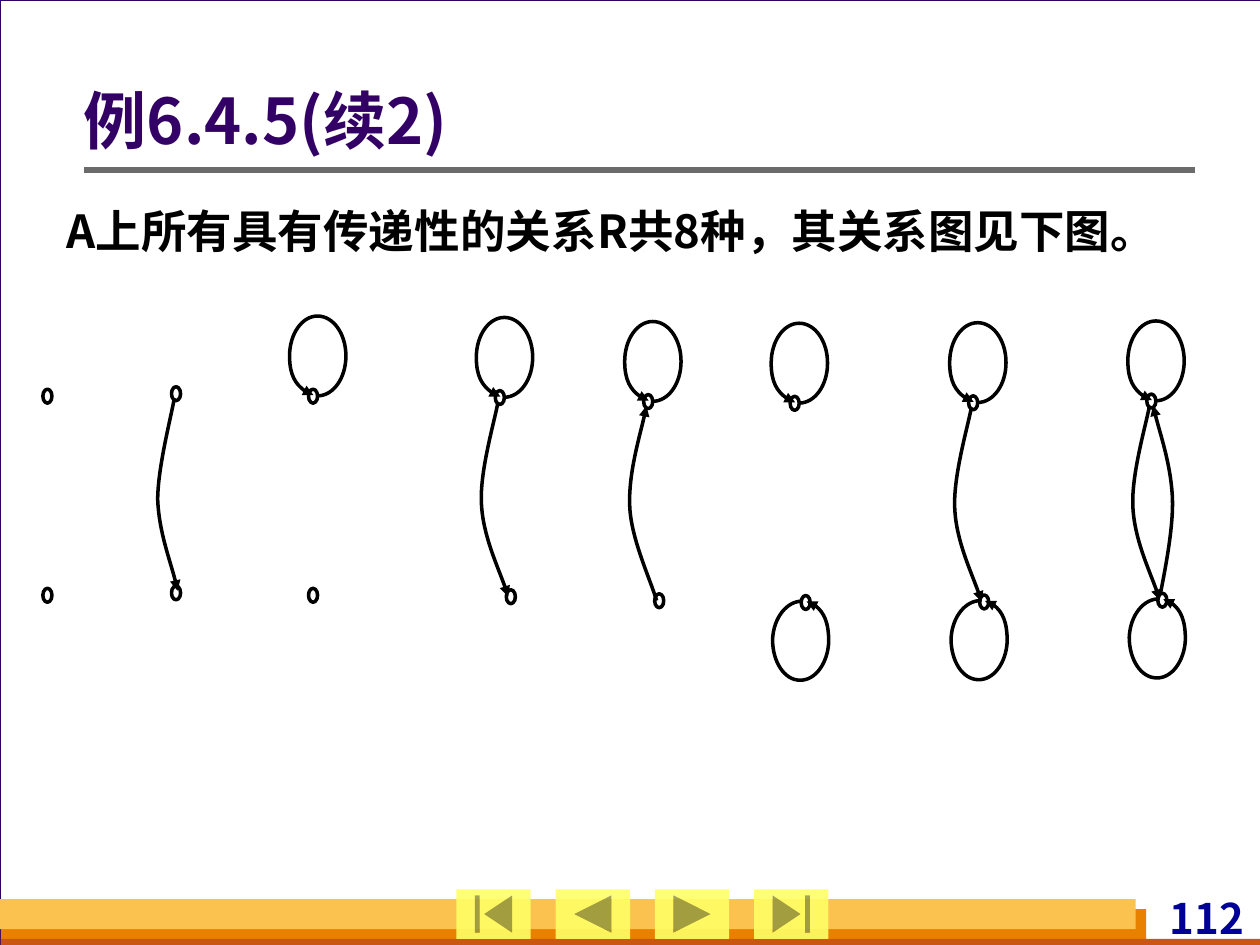
from dataclasses import dataclass

from lxml.etree import SubElement
from pptx import Presentation
from pptx.dml.color import RGBColor
from pptx.enum.shapes import MSO_CONNECTOR, MSO_SHAPE
from pptx.enum.text import MSO_ANCHOR, PP_ALIGN
from pptx.oxml.ns import qn
from pptx.util import Pt

FONT = "Noto Sans CJK SC"
BLACK = RGBColor(0x00, 0x00, 0x00)
WHITE = RGBColor(0xFF, 0xFF, 0xFF)
PURPLE = RGBColor(0x33, 0x00, 0x66)
NAVY = RGBColor(0x00, 0x00, 0x99)
GRAY = RGBColor(0x6B, 0x6B, 0x6B)
BACKDROP = RGBColor(0xD8, 0xDA, 0xDA)
ORANGE = RGBColor(0xE8, 0x80, 0x00)
RUST = RGBColor(0xC9, 0x56, 0x16)
AMBER = RGBColor(0xFC, 0xC2, 0x4F)
YELLOW = RGBColor(0xFF, 0xFF, 0x66)

NODE_W, NODE_H = 5.2, 8
NODE_GAP = 113.8
LEAN = 6.3

Curve = list[tuple[float, float]]

TOP_LOOP: Curve = [
    (5.2, 3.8), (14.2, 3.8), (21.4, -6.3), (21.4, -19),
    (21.4, -31.7), (14.2, -41.8), (5.2, -41.8),
    (-3.6, -41.8), (-10.8, -31.7), (-10.8, -19),
    (-10.8, -7.9), (-5, 1.4), (2.9, 3.4),
]
BOTTOM_LOOP: Curve = [
    (0.9, 3.2), (-8, 3), (-15.8, 12.6), (-16.3, 25.2),
    (-16.3, 37.7), (-9.7, 48.3), (-0.7, 48.4),
    (8.1, 48.6), (15.2, 38.8), (15.8, 26.6),
    (15.8, 15.1), (11.2, 5), (3.2, 3.4),
]
LEANING_ARC: Curve = [
    (1.6, 6.5), (0, 16.1), (-8.8, 45.4), (-7.9, 64),
    (-7.2, 82.5), (4.2, 106.5), (7.4, 117.7),
]
UPRIGHT_ARC: Curve = [
    (1.6, 6.5), (0, 16.4), (-7.9, 46), (-7.9, 64.6),
    (-7.2, 82.8), (1.6, 105.8), (3.4, 116.6),
]
RETURN_ARC: Curve = [
    (7.9, 113.8), (9.6, 104.4), (15.8, 75.6), (14.6, 57.6),
    (13.5, 39.6), (5.9, 17.3), (3.6, 6.5),
]


@dataclass(frozen=True)
class Graph:
    x: float
    y: float
    lean: float = LEAN
    top_loop: bool = True
    bottom_loop: bool = False
    arc: Curve | None = None
    arc_end: str = "tailEnd"
    return_arc: bool = False


GRAPHS = [
    Graph(24.5, 222.4, lean=0, top_loop=False),
    Graph(98, 221, lean=0, top_loop=False, arc=UPRIGHT_ARC),
    Graph(176.3, 222.4, lean=0),
    Graph(283, 223.2, arc=LEANING_ARC),
    Graph(367.8, 225.5, arc=LEANING_ARC, arc_end="headEnd"),
    Graph(451.5, 226.5, bottom_loop=True),
    Graph(553.5, 226.2, bottom_loop=True, arc=LEANING_ARC),
    Graph(655.3, 225.2, bottom_loop=True, arc=LEANING_ARC, return_arc=True),
]

BUTTONS = [
    MSO_SHAPE.ACTION_BUTTON_BEGINNING,
    MSO_SHAPE.ACTION_BUTTON_BACK_OR_PREVIOUS,
    MSO_SHAPE.ACTION_BUTTON_FORWARD_OR_NEXT,
    MSO_SHAPE.ACTION_BUTTON_END,
]


def add_preset(s, kind, x: float, y: float, w: float, h: float,
               fill: RGBColor | None = None, line: RGBColor | None = None,
               weight: float = 2):
    sp = s.shapes.add_shape(kind, Pt(x), Pt(y), Pt(w), Pt(h))
    sp.shadow.inherit = False
    if fill is None:
        sp.fill.background()
    else:
        sp.fill.solid()
        sp.fill.fore_color.rgb = fill
    if line is None:
        sp.line.fill.background()
    else:
        sp.line.color.rgb = line
        sp.line.width = Pt(weight)
    return sp


def add_text(s, text: str, x: float, y: float, w: float, h: float, *,
             size: float, color: RGBColor, align=PP_ALIGN.LEFT,
             anchor=MSO_ANCHOR.TOP, spacing: float = 1.0,
             insets: tuple[float, float, float, float] = (7.2, 3.6, 7.2, 3.6)) -> None:
    tf = s.shapes.add_textbox(Pt(x), Pt(y), Pt(w), Pt(h)).text_frame
    tf.word_wrap = True
    tf.vertical_anchor = anchor
    tf.margin_left, tf.margin_top, tf.margin_right, tf.margin_bottom = map(Pt, insets)
    p = tf.paragraphs[0]
    p.alignment = align
    p.line_spacing = spacing
    r = p.add_run()
    r.text = text
    r.font.size = Pt(size)
    r.font.bold = True
    r.font.name = FONT
    r.font.color.rgb = color
    SubElement(r.font._element, qn("a:ea"), typeface=FONT)


def add_curve(s, points: Curve, x: float, y: float, end: str = "tailEnd") -> None:
    (x0, y0), *rest = [(Pt(x + dx), Pt(y + dy)) for dx, dy in points]
    builder = s.shapes.build_freeform(x0, y0)
    builder.add_line_segments(rest, close=False)
    sp = builder.convert_to_shape()
    sp.shadow.inherit = False
    sp.fill.background()
    sp.line.color.rgb = BLACK
    sp.line.width = Pt(2)
    SubElement(sp.line._get_or_add_ln(), qn(f"a:{end}"), type="triangle")
    path = next(sp._element.iter(qn("a:path")))
    segments = path.findall(qn("a:lnTo"))
    for i in range(0, len(segments), 3):
        bezier = SubElement(path, qn("a:cubicBezTo"))
        for segment in segments[i:i + 3]:
            bezier.append(segment[0])
            path.remove(segment)


def add_graph(s, g: Graph) -> None:
    bottom_x, bottom_y = g.x + g.lean, g.y + NODE_GAP
    if g.top_loop:
        add_curve(s, TOP_LOOP, g.x, g.y)
    for x, y in ((g.x, g.y), (bottom_x, bottom_y)):
        add_preset(s, MSO_SHAPE.OVAL, x, y, NODE_W, NODE_H, line=BLACK)
    if g.arc:
        add_curve(s, g.arc, g.x, g.y, g.arc_end)
    if g.return_arc:
        add_curve(s, RETURN_ARC, g.x, g.y)
    if g.bottom_loop:
        add_curve(s, BOTTOM_LOOP, bottom_x, bottom_y)


def add_frame(s) -> None:
    s.background.fill.solid()
    s.background.fill.fore_color.rgb = BACKDROP
    add_preset(s, MSO_SHAPE.RECTANGLE, 0, 0, 720.5, 540, WHITE, PURPLE, 0.75)
    add_preset(s, MSO_SHAPE.RECTANGLE, 0.5, 519.5, 654.5, 20.5, ORANGE)
    add_preset(s, MSO_SHAPE.RECTANGLE, 0.5, 536.5, 720, 5.5, RUST)
    add_preset(s, MSO_SHAPE.RECTANGLE, 0, 513.8, 649, 17.2, AMBER)
    add_text(s, "112", 610, 510, 104, 29, size=24, color=NAVY,
             align=PP_ALIGN.RIGHT, insets=(3, 0, 3, 0))
    rule = s.shapes.add_connector(MSO_CONNECTOR.STRAIGHT, Pt(48), Pt(97.2), Pt(683), Pt(97.2))
    rule.line.color.rgb = GRAY
    rule.line.width = Pt(3)
    SubElement(rule._element.spPr, qn("a:effectLst"))
    for i, kind in enumerate(BUTTONS):
        sp = add_preset(s, kind, 260.8 + 56.7 * i, 508.2, 42.5, 28.3, YELLOW)
        color = next(sp._element.spPr.iter(qn("a:srgbClr")))
        SubElement(color, qn("a:alpha"), val="90000")


def main() -> None:
    prs = Presentation()
    prs.slide_width, prs.slide_height = Pt(720), Pt(540)
    s = prs.slides.add_slide(prs.slide_layouts[6])
    add_frame(s)
    add_text(s, "例6.4.5(续2)", 48, 48, 635, 46, size=36, color=PURPLE,
             anchor=MSO_ANCHOR.MIDDLE, spacing=0.9, insets=(0, 3.6, 7.2, 3.6))
    add_text(s, "A上所有具有传递性的关系R共8种，其关系图见下图。", 31, 106, 672, 44.5,
             size=26, color=BLACK, align=PP_ALIGN.JUSTIFY, spacing=1.2)
    for g in GRAPHS:
        add_graph(s, g)
    prs.save("out.pptx")


if __name__ == "__main__":
    main()
